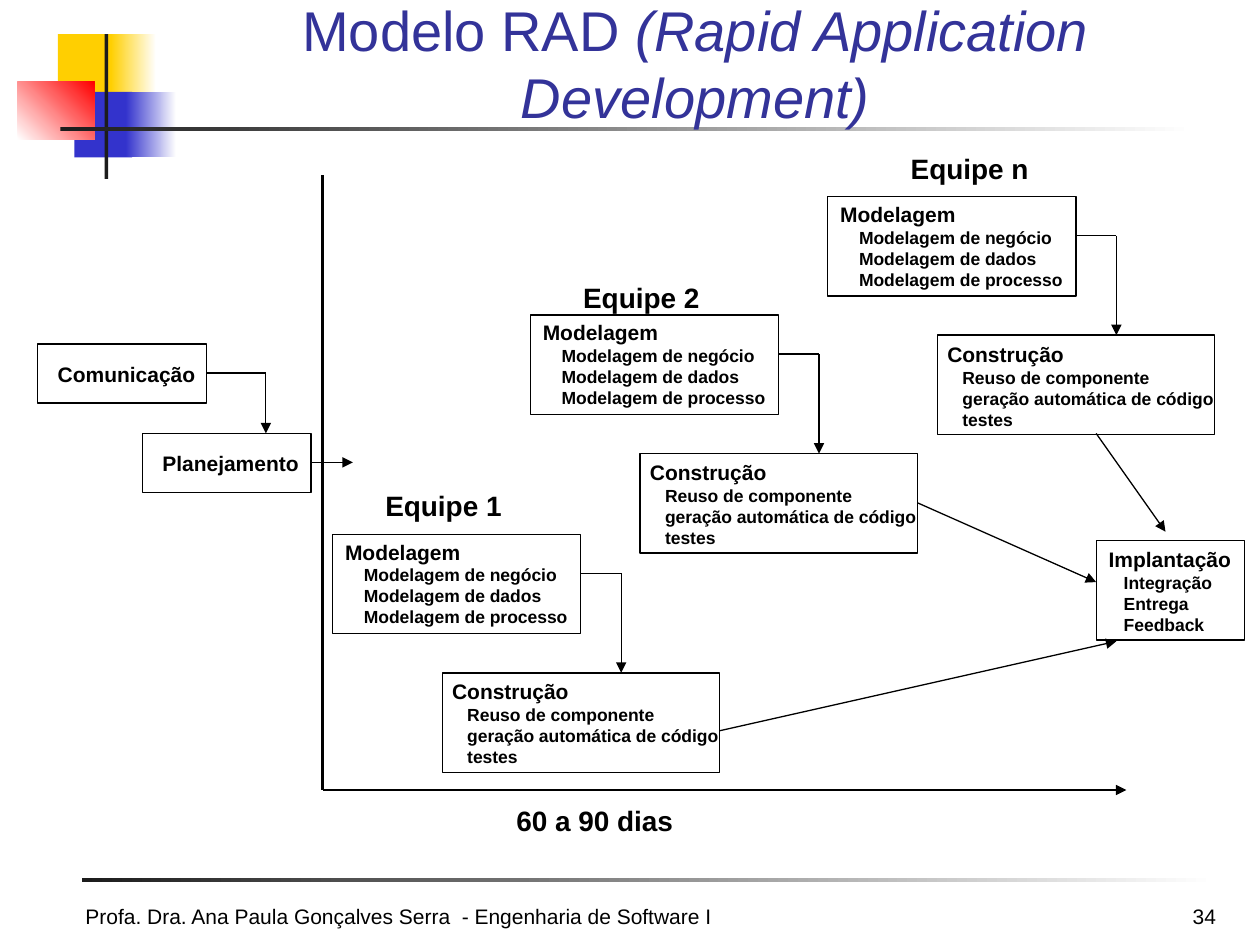
"""Build the RAD process model slide."""
import lxml.etree
import pptx
import pptx.dml.color
import pptx.enum.shapes
import pptx.enum.text
import pptx.oxml.ns
import pptx.util

Inches = pptx.util.Inches
Pt = pptx.util.Pt
RGB = pptx.dml.color.RGBColor
RECT = pptx.enum.shapes.MSO_SHAPE.RECTANGLE
STRAIGHT = pptx.enum.shapes.MSO_CONNECTOR.STRAIGHT
ALIGN = pptx.enum.text.PP_ALIGN
ANCHOR = pptx.enum.text.MSO_ANCHOR
SIZING = pptx.enum.text.MSO_AUTO_SIZE
qn = pptx.oxml.ns.qn

FONT = "Arial"
BLACK = RGB(0, 0, 0)
WHITE = RGB(255, 255, 255)
INK = RGB(0x1C, 0x1C, 0x1C)
GOLD = RGB(0xFF, 0xCF, 0x01)
BLUE = RGB(0x33, 0x33, 0xCC)
RED = RGB(0xFF, 0, 0)
NAVY = RGB(0x33, 0x33, 0x99)

DECOR = [
    ((0.46, 0.27, 0.48, 0.52), [GOLD], 0),
    ((0.88, 0.27, 0.36, 0.52), [GOLD, WHITE], 0),
    ((0.59, 0.73, 0.46, 0.52), [BLUE], 0),
    ((1, 0.73, 0.4, 0.52), [BLUE, WHITE], 0),
    ((0.14, 0.65, 0.61, 0.46), [WHITE, RED], 45),
    ((0.83, 0.27, 0.03, 1.15), [INK], 0),
    ((0.48, 1.01, 9, 0.03), [INK, WHITE], 0),
    ((0.65, 6.97, 9, 0.03), [INK, WHITE], 0),
]
LABELS = [
    ("Equipe 2", (4.53, 2.18, 1.12, 0.37)),
    ("Equipe 1", (2.96, 3.83, 1.12, 0.37)),
    ("Equipe n", (7.13, 1.15, 1.13, 0.37)),
    ("60 a 90 dias", (4, 6.33, 1.44, 0.37)),
]
TEAMS = [(4.21, 2.5), (2.64, 4.24), (6.57, 1.56)]
MODEL = ["Modelagem", "Modelagem de negócio", "Modelagem de dados",
         "Modelagem de processo"]
BUILD = ["Construção", "Reuso de componente",
         "geração automática de código", "testes"]
DEPLOY = ["Implantação", "Integração", "Entrega", "Feedback"]
ARROWS = [
    ((2.56, 6.27), (8.94, 6.27)),
    ((8.7, 3.44), (9.25, 4.22)),
    ((5.71, 5.8), (8.86, 5.09)),
    ((7.28, 3.99), (8.7, 4.62)),
    ((2.48, 3.67), (2.8, 3.67)),
]


def style(run, size, color=BLACK, bold=False, italic=False):
    """Set the font of a run."""
    font = run.font
    font.name, font.size = FONT, Pt(size)
    font.bold, font.italic = bold, italic
    font.color.rgb = color


def add_decor(shapes, box, colors, angle):
    """Add a borderless block with a plain or fading fill."""
    block = shapes.add_shape(RECT, *map(Inches, box))
    block.shadow.inherit = False
    block.line.fill.background()
    if len(colors) == 1:
        block.fill.solid()
        block.fill.fore_color.rgb = colors[0]
        return
    block.fill.gradient()
    block.fill.gradient_angle = angle
    for stop, color, place in zip(block.fill.gradient_stops, colors, (0, 1)):
        stop.color.rgb = color
        stop.position = place


def add_frame(shapes, box):
    """Add an unfilled black frame."""
    frame = shapes.add_shape(RECT, *map(Inches, box))
    frame.shadow.inherit = False
    frame.fill.background()
    frame.line.color.rgb = BLACK
    frame.line.width = Pt(0.75)


def add_text(shapes, lines, box, size, indent=0):
    """Add bold text with smaller, indented lines below the first."""
    frame = shapes.add_textbox(*map(Inches, box)).text_frame
    frame.word_wrap = True
    frame.auto_size = SIZING.NONE
    frame.margin_right = 0
    frame.text = "\n".join(lines)
    for rank, para in enumerate(frame.paragraphs):
        if rank:
            para._p.get_or_add_pPr().set("marL", str(Inches(indent)))
        style(para.runs[0], 10 if rank else size, bold=True)


def add_foot(shapes, text, box, align):
    """Add a text at the foot of the slide."""
    frame = shapes.add_textbox(*map(Inches, box)).text_frame
    frame.word_wrap = True
    frame.vertical_anchor = ANCHOR.BOTTOM
    frame.text = text
    para = frame.paragraphs[0]
    para.alignment = align
    style(para.runs[0], 12)


def add_line(shapes, start, end, width=0.75, arrow=True):
    """Add a straight black line, with an arrowhead if wanted."""
    line = shapes.add_connector(STRAIGHT, *map(Inches, start + end))
    line.line.color.rgb = BLACK
    line.line.width = Pt(width)
    props = line._element.spPr
    if arrow:
        tail = lxml.etree.SubElement(props.find(qn("a:ln")), qn("a:tailEnd"))
        tail.set("type", "triangle")
    lxml.etree.SubElement(props, qn("a:effectLst"))


def add_elbow(shapes, start, end):
    """Add a line going right and an arrow going down."""
    bend = (end[0], start[1])
    add_line(shapes, start, bend, arrow=False)
    add_line(shapes, bend, end)


def add_step(shapes, text, left, top):
    """Add a framed step with one line of text."""
    add_frame(shapes, (left, top, 1.34, 0.47))
    add_text(shapes, [text], (left + 0.06, top + 0.09, 1.28, 0.3), 12)


def add_team(shapes, left, top):
    """Add a team's group: modelling, then construction."""
    parts = shapes.add_group_shape().shapes
    low = top + 1.1
    add_frame(parts, (left, top, 1.97, 0.79))
    add_text(parts, MODEL, (left, top - 0.01, 1.97, 0.8), 12, 0.15)
    add_frame(parts, (left + 0.87, low, 2.2, 0.79))
    add_text(parts, BUILD, (left + 0.85, low, 2.3, 0.8), 12, 0.12)
    add_elbow(parts, (left + 1.97, top + 0.31), (left + 2.29, low))


def set_title(slide):
    """Place and fill the title in front of the decoration."""
    title = slide.shapes.title
    slide.shapes._spTree.append(title._element)
    title.left, title.top = Inches(1.26), Inches(-0.17)
    title.width, title.height = Inches(8.52), Inches(1.25)
    frame = title.text_frame
    frame.auto_size = SIZING.NONE
    frame.word_wrap = True
    frame.vertical_anchor = ANCHOR.BOTTOM
    frame.text = "Modelo RAD "
    para = frame.paragraphs[0]
    para.alignment = ALIGN.CENTER
    style(para.runs[0], 32, NAVY)
    run = para.add_run()
    run.text = "(Rapid Application Development)"
    style(run, 32, NAVY, italic=True)


def main():
    """Build and save the slide."""
    deck = pptx.Presentation()
    deck.slide_width, deck.slide_height = Inches(10), Inches(7.5)
    slide = deck.slides.add_slide(deck.slide_layouts[5])
    shapes = slide.shapes
    for item in DECOR:
        add_decor(shapes, *item)
    add_foot(shapes,
             "Profa. Dra. Ana Paula Gonçalves Serra  - Engenharia de Software I",
             (0.58, 6.92, 8.25, 0.5), ALIGN.LEFT)
    add_foot(shapes, "34", (9.08, 6.92, 0.67, 0.5), ALIGN.RIGHT)
    set_title(slide)
    for text, box in LABELS:
        add_text(shapes, [text], box, 16)
    add_step(shapes, "Comunicação", 0.3, 2.73)
    add_step(shapes, "Planejamento", 1.13, 3.44)
    add_elbow(shapes, (1.64, 2.96), (2.11, 3.44))
    add_frame(shapes, (8.7, 4.29, 1.18, 0.79))
    add_text(shapes, DEPLOY, (8.7, 4.29, 1.22, 0.8), 12, 0.12)
    add_line(shapes, (2.56, 1.39), (2.56, 6.27), 1.5, False)
    for spot in TEAMS:
        add_team(shapes, *spot)
    for start, end in ARROWS:
        add_line(shapes, start, end)
    deck.save("out.pptx")


if __name__ == "__main__":
    main()
